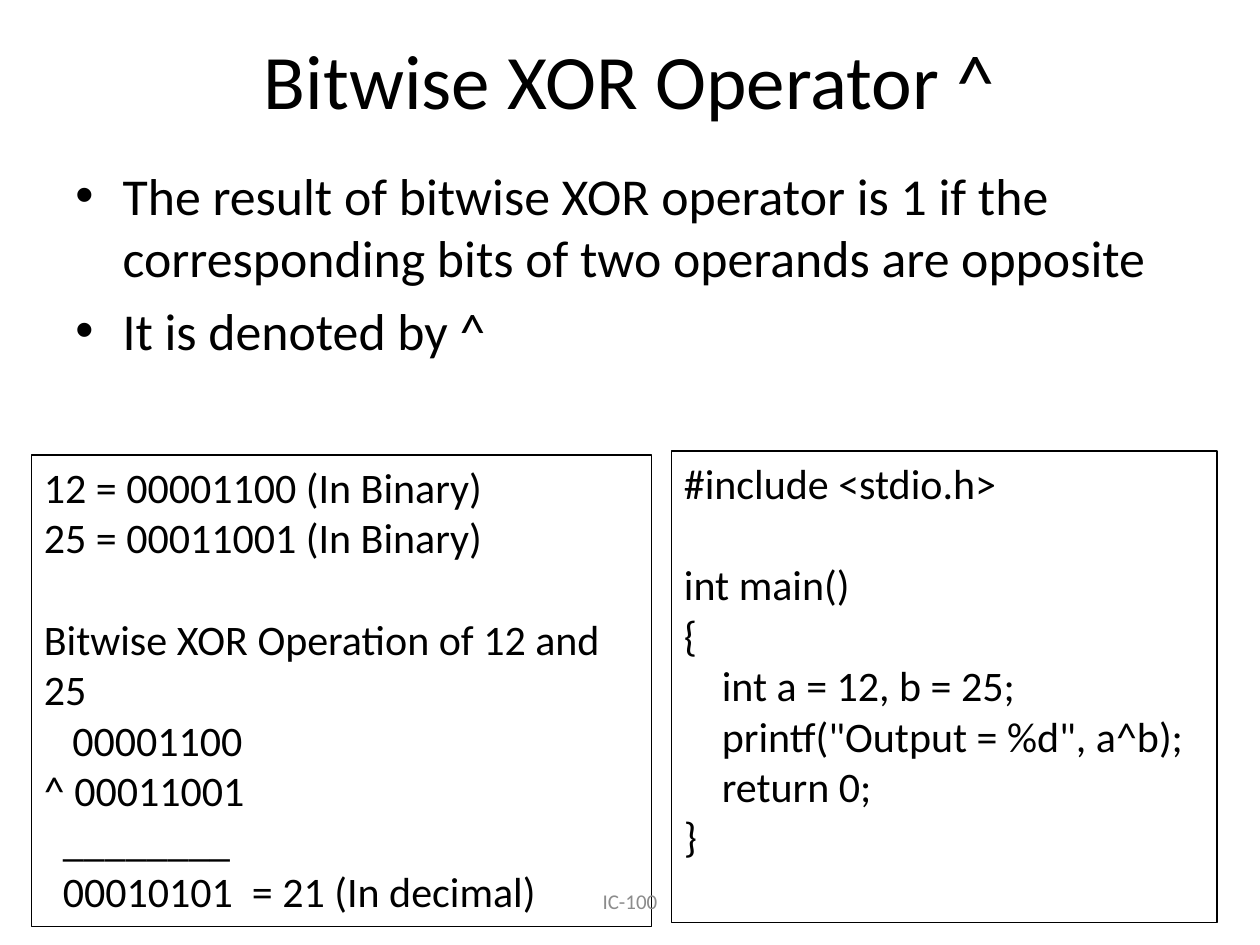
"""Build the slide on the bitwise XOR operator."""
from dataclasses import dataclass

from lxml.etree import SubElement
from pptx import Presentation
from pptx.dml.color import RGBColor
from pptx.enum.text import MSO_ANCHOR as Anchor, PP_ALIGN as Align
from pptx.oxml.ns import qn
from pptx.util import Pt

COLORS = {"text": "000000", "border": "000000", "footer": "8C8C8C"}
FONT = "Calibri"
CODE_SIZE = 24
SPACE = 5.42
BLANK_LINE = 29.3
BULLET_INDENT = 27


@dataclass
class Line:
    text: str
    indent: float = 0
    before: float = 0
    bullet: bool = False


@dataclass
class Block:
    left: float
    top: float
    width: float
    height: float
    size: float
    lines: list[Line]
    color: str = "text"
    align: Align = Align.LEFT
    anchor: Anchor = Anchor.TOP
    bordered: bool = False


def add_line(paragraph, line: Line, block: Block) -> None:
    """Fill one paragraph with its text, font, spacing and indent."""
    paragraph.text = line.text
    paragraph.alignment = block.align
    paragraph.space_before = Pt(line.before)
    paragraph.font.name = FONT
    paragraph.font.size = Pt(block.size)
    paragraph.font.color.rgb = RGBColor.from_string(COLORS[block.color])
    properties = paragraph._p.get_or_add_pPr()
    properties.set("marL", str(Pt(line.indent)))
    if line.bullet:
        properties.set("indent", str(-Pt(line.indent)))
        bullet_font = SubElement(properties, qn("a:buFont"))
        bullet_font.set("typeface", "Arial")
        SubElement(properties, qn("a:buChar")).set("char", "•")
        defaults = properties.find(qn("a:defRPr"))
        properties.append(defaults)


def add_block(slide, block: Block) -> None:
    """Draw one text block with its lines."""
    box = slide.shapes.add_textbox(
        Pt(block.left), Pt(block.top), Pt(block.width), Pt(block.height))
    if block.bordered:
        box.line.color.rgb = RGBColor.from_string(COLORS["border"])
        box.line.width = Pt(0.75)
    frame = box.text_frame
    frame.word_wrap = True
    frame.vertical_anchor = block.anchor
    for index, line in enumerate(block.lines):
        paragraph = frame.add_paragraph() if index else frame.paragraphs[0]
        add_line(paragraph, line, block)


title = Block(36, 0, 648, 90, 44, [Line("Bitwise XOR Operator ^")],
              align=Align.CENTER, anchor=Anchor.MIDDLE)
definition = Block(36, 90, 648, 144, 29.6, [
    Line(text, BULLET_INDENT, 5.9, True) for text in (
        "The result of bitwise XOR operator is 1 if the "
        "corresponding bits of two operands are opposite",
        "It is denoted by ^")])
worked_example = Block(18, 260, 354.24, 269.3, CODE_SIZE, [
    Line("12 = 00001100 (In Binary)"),
    Line("25 = 00011001 (In Binary)"),
    Line("Bitwise XOR Operation of 12 and 25", before=BLANK_LINE),
    Line("00001100", 3 * SPACE),
    Line("^ 00011001"),
    Line("________", 2 * SPACE),
    Line("00010101  = 21 (In decimal)", 2 * SPACE),
], bordered=True)
program = Block(383.76, 257.76, 311.76, 269.3, CODE_SIZE, [
    Line("#include <stdio.h>"),
    Line("int main()", before=BLANK_LINE),
    Line("{"),
    Line("int a = 12, b = 25;", 4 * SPACE),
    Line('printf("Output = %d", a^b);', 4 * SPACE),
    Line("return 0;", 4 * SPACE),
    Line("}"),
], bordered=True)
footer = Block(246, 500.4, 228, 28.8, 12, [Line("IC-100")], "footer",
               Align.CENTER, Anchor.MIDDLE)

presentation = Presentation()
presentation.slide_width, presentation.slide_height = Pt(720), Pt(540)
xor_slide = presentation.slides.add_slide(presentation.slide_layouts[6])
for part in (title, definition, worked_example, program, footer):
    add_block(xor_slide, part)
presentation.save("out.pptx")
